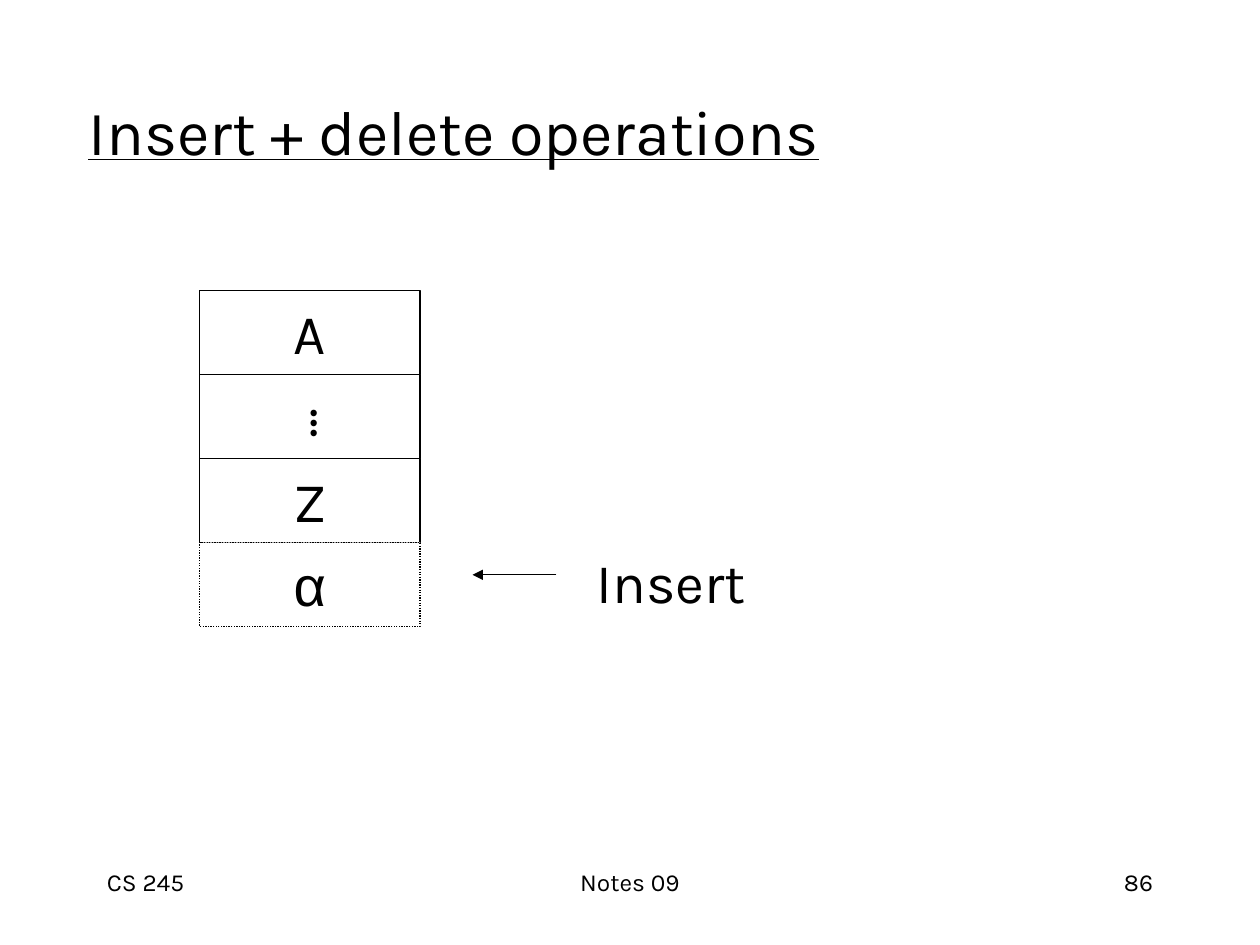
from dataclasses import dataclass

from pptx import Presentation
from pptx.dml.color import RGBColor
from pptx.enum.dml import MSO_LINE
from pptx.enum.shapes import MSO_CONNECTOR, MSO_SHAPE
from pptx.enum.text import MSO_ANCHOR as Anchor, PP_ALIGN as Align
from pptx.oxml.ns import qn
from pptx.util import Pt
from lxml.etree import SubElement


@dataclass(frozen=True)
class Theme:
    ink: RGBColor = RGBColor(0, 0, 0)
    paper: RGBColor = RGBColor(255, 255, 255)
    font: str = "Karla"
    greek_font: str = "Arial"
    title_size: int = 36
    body_size: int = 32
    footer_size: int = 14
    line_width: float = 0.75


THEME = Theme()


def write(shape, text, size, align=Align.LEFT, anchor=Anchor.MIDDLE, wrap=True, **font_format):
    """Fill a shape with one paragraph in the theme's ink."""
    frame = shape.text_frame
    frame.word_wrap = wrap
    frame.vertical_anchor = anchor
    paragraph = frame.paragraphs[0]
    paragraph.text = text
    paragraph.alignment = align
    font = paragraph.runs[0].font
    font.color.rgb = THEME.ink
    for name, value in {"name": THEME.font, "size": Pt(size), **font_format}.items():
        setattr(font, name, value)


def add_text(slide, box, text, size, **text_format):
    shape = slide.shapes.add_textbox(*map(Pt, box))
    write(shape, text, size, **text_format)
    return shape


def add_block(slide, box, dash=None):
    block = slide.shapes.add_shape(MSO_SHAPE.RECTANGLE, *map(Pt, box))
    block.shadow.inherit = False
    block.fill.solid()
    block.fill.fore_color.rgb = THEME.paper
    block.line.color.rgb = THEME.ink
    block.line.width = Pt(THEME.line_width)
    if dash:
        block.line.dash_style = dash
    return block


def add_record_stack(slide, box):
    """Draw records A to Z with the inserted record dotted below them."""
    left, top, width, height = box
    records = [
        ("A", THEME.font, None),
        (None, THEME.font, None),
        ("Z", THEME.font, None),
        ("α", THEME.greek_font, MSO_LINE.ROUND_DOT),
    ]
    row_height = height / len(records)
    for row, (label, font_name, dash) in enumerate(records):
        row_top = top + row * row_height
        block = add_block(slide, (left, row_top, width, row_height), dash)
        if label:
            write(block, label, THEME.body_size, align=Align.CENTER, wrap=False, name=font_name)
        else:
            dots_box = (left + 55, row_top + 5, 44, 46)
            dots = add_text(slide, dots_box, "...", THEME.body_size, align=Align.CENTER)
            dots.rotation = 90


def add_insert_callout(slide, box):
    """Place the label at the right of the box and an arrow pointing left from it."""
    left, top, width, height = box
    arrow_length, label_offset, arrow_y = 48, 64, top + 20.5
    arrow = slide.shapes.add_connector(
        MSO_CONNECTOR.STRAIGHT, Pt(left + arrow_length), Pt(arrow_y), Pt(left), Pt(arrow_y))
    arrow.line.color.rgb = THEME.ink
    arrow.line.width = Pt(THEME.line_width)
    SubElement(arrow.line._get_or_add_ln(), qn("a:tailEnd"), type="triangle")
    SubElement(arrow._element.spPr, qn("a:effectLst"))
    label_box = (left + label_offset, top, width - label_offset, height)
    add_text(slide, label_box, "Insert", THEME.body_size)


def add_footer(slide, box):
    left, top, width, height = box
    side_width, middle_width = 150, 228
    parts = [
        ("CS 245", left, side_width, Align.LEFT),
        ("Notes 09", left + (width - middle_width) / 2, middle_width, Align.CENTER),
        ("86", left + width - side_width, side_width, Align.RIGHT),
    ]
    for text, part_left, part_width, align in parts:
        add_text(slide, (part_left, top, part_width, height), text, THEME.footer_size,
                 align=align, anchor=Anchor.TOP)


def main():
    presentation = Presentation()
    presentation.slide_width, presentation.slide_height = Pt(720), Pt(540)
    slide = presentation.slides.add_slide(presentation.slide_layouts[6])
    add_text(slide, (43.5, 29.5, 612, 90), "Insert + delete operations",
             THEME.title_size, underline=True)
    add_record_stack(slide, (114, 166, 126, 192))
    add_insert_callout(slide, (270, 308, 184, 48))
    add_footer(slide, (54, 492, 612, 36))
    presentation.save("out.pptx")


if __name__ == "__main__":
    main()
